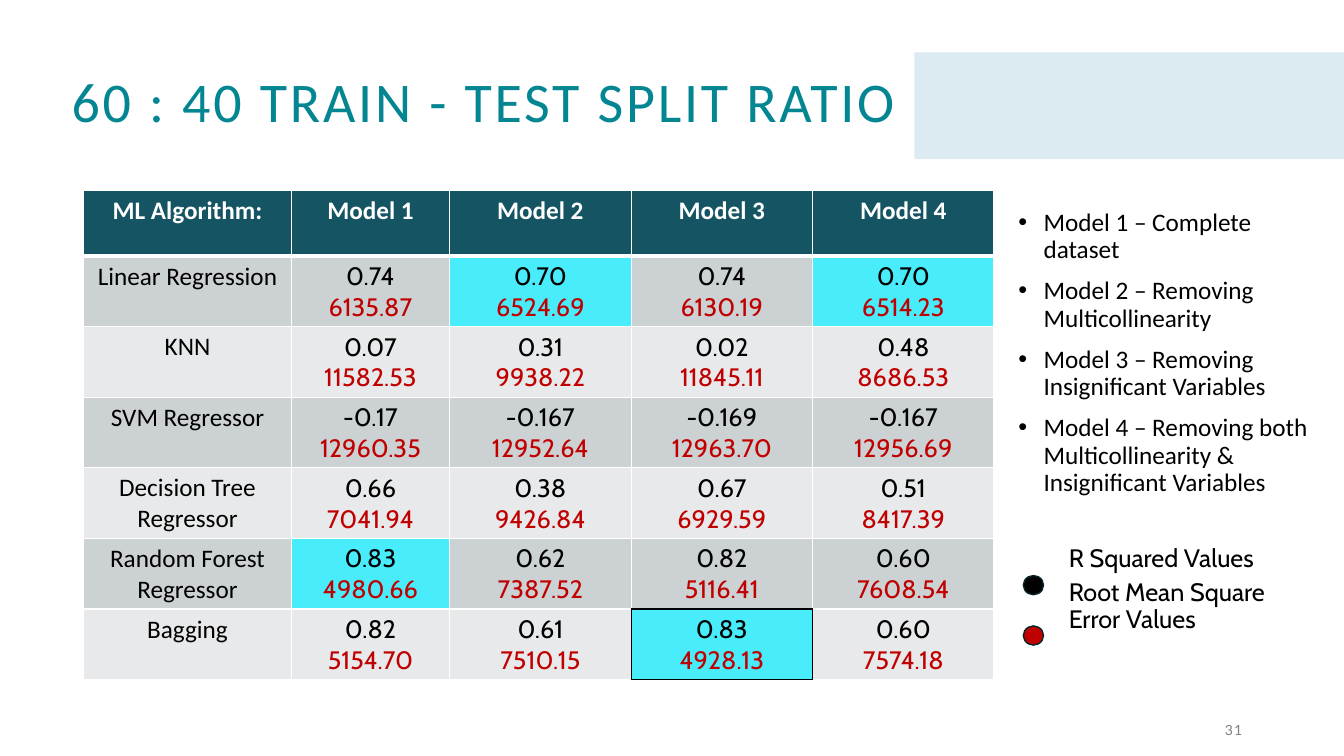
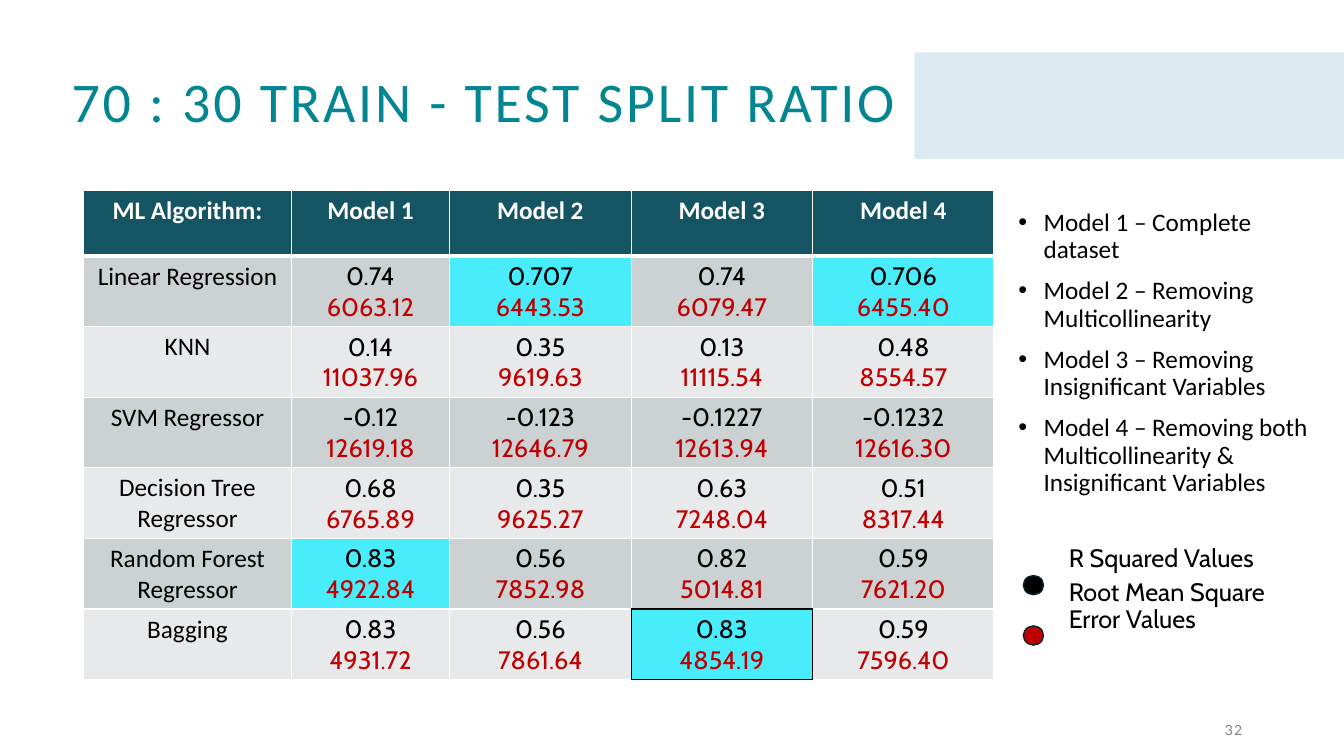
from lxml.etree import SubElement
from pptx import Presentation
from pptx.dml.color import RGBColor
from pptx.enum.shapes import MSO_SHAPE
from pptx.enum.text import MSO_ANCHOR, MSO_AUTO_SIZE, PP_ALIGN
from pptx.oxml import parse_xml
from pptx.oxml.ns import nsdecls, qn
from pptx.util import Inches, Pt

COLORS = {
    "title": "038692", "band": "DCEAF1", "header": "155463",
    "odd": "CCD1D3", "even": "E8E9EA", "best": "48ECFB",
    "white": "FFFFFF", "black": "000000", "red": "C00000",
    "dot_line": "09252B", "number": "808080",
}
COLUMN_WIDTHS = [2.06, 1.57, 1.8, 1.8, 1.8]
ROW_HEIGHT = 0.65
HEADINGS = ["ML Algorithm:", "Model 1", "Model 2", "Model 3", "Model 4"]
ALGORITHMS = ["Linear Regression", "KNN", "SVM Regressor",
              "Decision Tree Regressor", "Random Forest Regressor", "Bagging"]
BEST_CELLS = {(1, 2), (1, 4), (5, 1), (6, 3)}
FRAMED_CELL = (6, 3)
MODELS = [
    "Model 1 – Complete dataset",
    "Model 2 – Removing Multicollinearity",
    "Model 3 – Removing Insignificant Variables",
    "Model 4 – Removing both Multicollinearity & Insignificant Variables",
]
MEASURES = ["R Squared Values", "Root Mean Square Error Values"]

# One row per algorithm; R squared and error for each model
SPLITS = [
    ("60 : 40 TRAIN - TEST SPLIT RATIO", 31, [
        "0.74 6135.87 0.70 6524.69 0.74 6130.19 0.70 6514.23",
        "0.07 11582.53 0.31 9938.22 0.02 11845.11 0.48 8686.53",
        "-0.17 12960.35 -0.167 12952.64 -0.169 12963.70 -0.167 12956.69",
        "0.66 7041.94 0.38 9426.84 0.67 6929.59 0.51 8417.39",
        "0.83 4980.66 0.62 7387.52 0.82 5116.41 0.60 7608.54",
        "0.82 5154.70 0.61 7510.15 0.83 4928.13 0.60 7574.18",
    ]),
    ("70 : 30 TRAIN - TEST SPLIT RATIO", 32, [
        "0.74 6063.12 0.707 6443.53 0.74 6079.47 0.706 6455.40",
        "0.14 11037.96 0.35 9619.63 0.13 11115.54 0.48 8554.57",
        "-0.12 12619.18 -0.123 12646.79 -0.1227 12613.94 -0.1232 12616.30",
        "0.68 6765.89 0.35 9625.27 0.63 7248.04 0.51 8317.44",
        "0.83 4922.84 0.56 7852.98 0.82 5014.81 0.59 7621.20",
        "0.83 4931.72 0.56 7861.64 0.83 4854.19 0.59 7596.40",
    ]),
]


def color(name):
    return RGBColor.from_string(COLORS[name])


def write(para, text, size=18, font="Calibri", ink="black", bold=False,
          align=PP_ALIGN.LEFT, tracking=None):
    """Add formatted text to a paragraph."""
    para.alignment = align
    span = para.add_run()
    span.text = text
    span.font.size, span.font.name, span.font.bold = Pt(size), font, bold
    span.font.color.rgb = color(ink)
    if tracking:
        span.font._element.set("spc", str(tracking * 100))


def place(shape, left, top, width, height):
    shape.left, shape.top = Inches(left), Inches(top)
    shape.width, shape.height = Inches(width), Inches(height)


def next_para(frame, index):
    return frame.paragraphs[0] if index == 0 else frame.add_paragraph()


def add_plain_shape(page, kind, left, top, width, height, fill, line=None):
    shape = page.shapes.add_shape(kind, Inches(left), Inches(top),
                                  Inches(width), Inches(height))
    shape.shadow.inherit = False
    shape.fill.solid()
    shape.fill.fore_color.rgb = color(fill)
    if line:
        shape.line.color.rgb = color(line)
        shape.line.width = Pt(1)
    else:
        shape.line.fill.background()
    return shape


# Title and page number
def add_heading(page, title, number):
    box = page.shapes.title
    place(box, 0.61, 0.69, 12.11, 0.73)
    frame = box.text_frame
    frame.auto_size = MSO_AUTO_SIZE.NONE
    frame.vertical_anchor = MSO_ANCHOR.MIDDLE
    para = frame.paragraphs[0]
    para.line_spacing = 0.8
    write(para, title, size=40, ink="title", tracking=2)

    box = page.shapes.add_textbox(Inches(9.42), Inches(7.13), Inches(3), Inches(0.22))
    box.text_frame.word_wrap = True
    box.text_frame.vertical_anchor = MSO_ANCHOR.MIDDLE
    write(box.text_frame.paragraphs[0], str(number), size=10, font="Lato",
          ink="number", align=PP_ALIGN.RIGHT, tracking=1)


# Results table
def cell_borders(row, column):
    """Return the (colour, points) of each side of a cell."""
    sides = {side: ("white", 1) for side in "LRTB"}
    if row == 0:
        sides["B"] = ("white", 3)
    if row == 1:
        sides["T"] = ("white", 3)
    offset = (row - FRAMED_CELL[0], column - FRAMED_CELL[1])
    touching = {(0, 0): "LRTB", (-1, 0): "B", (0, -1): "R", (0, 1): "L"}
    for side in touching.get(offset, ""):
        sides[side] = ("black", 1)
    return sides


def style_cell(cell, row, column):
    if row == 0:
        fill = "header"
    elif (row, column) in BEST_CELLS:
        fill = "best"
    else:
        fill = "odd" if row % 2 else "even"
    cell.fill.solid()
    cell.fill.fore_color.rgb = color(fill)
    properties = cell._tc.get_or_add_tcPr()
    for index, (side, (ink, points)) in enumerate(cell_borders(row, column).items()):
        properties.insert(index, parse_xml(
            f'<a:ln{side} {nsdecls("a")} w="{Pt(points)}"><a:solidFill>'
            f'<a:srgbClr val="{COLORS[ink]}"/></a:solidFill></a:ln{side}>'))


def add_results(page, left, top, results):
    count = len(results) + 1
    table = page.shapes.add_table(
        count, len(COLUMN_WIDTHS), Inches(left), Inches(top),
        Inches(sum(COLUMN_WIDTHS)), Inches(ROW_HEIGHT * count)).table
    table.horz_banding = False
    for column, width in zip(table.columns, COLUMN_WIDTHS):
        column.width = Inches(width)

    center = PP_ALIGN.CENTER
    for row in range(count):
        values = results[row - 1].split() if row else []
        for column, heading in enumerate(HEADINGS):
            cell = table.cell(row, column)
            style_cell(cell, row, column)
            frame = cell.text_frame
            if row == 0:
                write(frame.paragraphs[0], heading, ink="white", bold=True, align=center)
            elif column == 0:
                write(frame.paragraphs[0], ALGORITHMS[row - 1], align=center)
            else:
                pair = values[2 * column - 2:2 * column]
                for index, (value, ink) in enumerate(zip(pair, ("black", "red"))):
                    write(next_para(frame, index), value, font="Cabin",
                          ink=ink, align=center)


# Model list and colour key
def add_key(page, left, top):
    body = page.placeholders[1]
    place(body, left, top, 3.15, 4.9)
    frame = body.text_frame
    frame.auto_size = MSO_AUTO_SIZE.NONE
    frame.vertical_anchor = MSO_ANCHOR.TOP
    for index, text in enumerate(MODELS + MEASURES):
        para = next_para(frame, index)
        is_model = index < len(MODELS)
        properties = para._p.get_or_add_pPr()
        properties.set("marL", str(Inches(0.25 if is_model else 0.5)))
        properties.set("indent", str(Inches(-0.25 if is_model else 0)))
        if is_model:
            SubElement(properties, qn("a:buFont")).set("typeface", "Arial")
            SubElement(properties, qn("a:buChar")).set("char", "•")
        else:
            SubElement(properties, qn("a:buNone"))
            para.level = 1
        para.line_spacing = 0.9
        if index == 0:
            space = 0
        elif is_model:
            space = 10
        else:
            space = 34.8 if index == len(MODELS) else 5
        para.space_before = Pt(space)
        write(para, text, font="Calibri" if is_model else "Cabin")
    for index, fill in enumerate(("black", "red")):
        add_plain_shape(page, MSO_SHAPE.OVAL, left + 0.15, top + 3.68 + 0.5 * index,
                        0.2, 0.19, fill, "dot_line")


def add_split_slide(deck, layout, title, number, results):
    page = deck.slides.add_slide(layout)
    add_heading(page, title, number)
    add_results(page, 0.83, 1.89, results)
    add_key(page, 10, 2.03)
    return page


def main():
    deck = Presentation()
    deck.slide_width, deck.slide_height = Inches(13.33), Inches(7.5)
    layout = deck.slide_layouts[1]
    pages = [add_split_slide(deck, layout, *split) for split in SPLITS]
    # The band belongs to the shared layout
    band = add_plain_shape(pages[0], MSO_SHAPE.RECTANGLE, 9.07, 0.52, 4.26, 1.06, "band")
    layout.shapes.element.append(band.element)
    deck.save("out.pptx")


if __name__ == "__main__":
    main()
